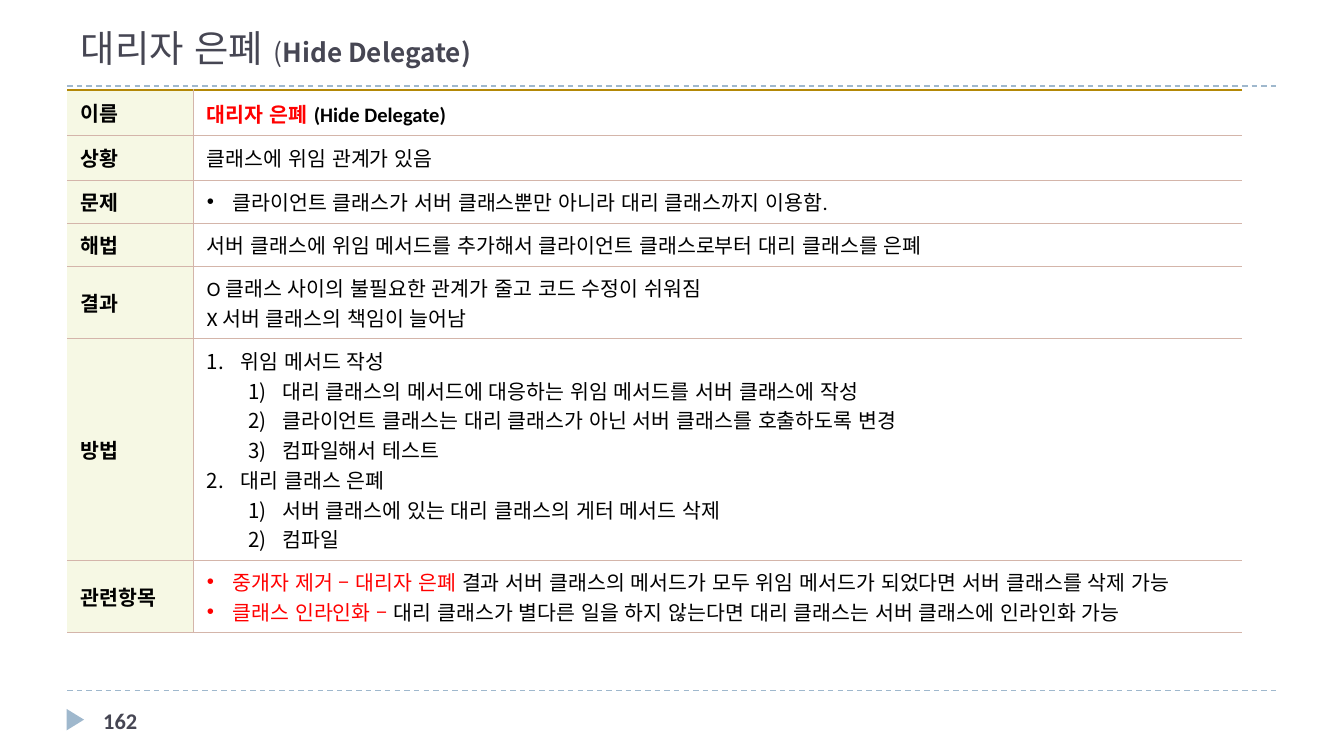
from typing import NamedTuple

from lxml import etree
from pptx import Presentation
from pptx.dml.color import RGBColor
from pptx.enum.dml import MSO_LINE
from pptx.enum.lang import MSO_LANGUAGE_ID
from pptx.enum.shapes import MSO_CONNECTOR, MSO_SHAPE
from pptx.enum.text import MSO_ANCHOR, MSO_AUTO_SIZE, PP_ALIGN
from pptx.oxml.ns import qn
from pptx.util import Inches, Pt

MIDDLE, BOTTOM = MSO_ANCHOR.MIDDLE, MSO_ANCHOR.BOTTOM
LEFT, LANGUAGE = PP_ALIGN.LEFT, MSO_LANGUAGE_ID.KOREAN
STRAIGHT, TRIANGLE = MSO_CONNECTOR.STRAIGHT, MSO_SHAPE.ISOSCELES_TRIANGLE
DASH, NO_AUTOFIT = MSO_LINE.DASH, MSO_AUTO_SIZE.NONE
LATIN, KOREAN, BULLET_FONT = "Calibri", "Noto Sans CJK KR", "Arial"
BLACK, RED, SLATE, BLUE = "000000", "FF0000", "464653", "9FB8CD"
LABEL_FILL, RULE, TOP_RULE = "F6F8E4", "D4B5AA", "B38807"


class Span(NamedTuple):
    text: str
    color: str = BLACK
    bold: bool = False
    size: float = 11
    font: str = LATIN


class Marker(NamedTuple):
    tag: str
    attribute: str
    value: str
    left: float
    hanging: float
    level: int = 0


class Line(NamedTuple):
    spans: list[Span]
    marker: Marker | None = None
    space_after: float = 0


class Entry(NamedTuple):
    label: str
    height: float
    lines: list[Line]
    label_space_after: float = 0


DOT = Marker("a:buChar", "char", "•", 0.19, 0.19)
STEP = Marker("a:buAutoNum", "type", "arabicPeriod", 0.25, 0.25)
SUBSTEP = Marker("a:buAutoNum", "type", "arabicParenR", 0.56, 0.25, 1)


def plain(text: str, marker: Marker | None = None) -> Line:
    return Line([Span(text)], marker)


ENTRIES = [
    Entry("이름", 0.34, [Line([
        Span("대리자 은폐", RED, True),
        Span(" ", bold=True, size=12),
        Span("(Hide Delegate)", bold=True),
    ])]),
    Entry("상황", 0.33, [plain("클래스에 위임 관계가 있음")]),
    Entry("문제", 0.32, [
        plain("클라이언트 클래스가 서버 클래스뿐만 아니라 대리 클래스까지 이용함.", DOT),
    ]),
    Entry("해법", 0.32, [
        plain("서버 클래스에 위임 메서드를 추가해서 클라이언트 클래스로부터 대리 클래스를 은폐"),
    ]),
    Entry("결과", 0.54, [
        plain("O 클래스 사이의 불필요한 관계가 줄고 코드 수정이 쉬워짐"),
        plain("X 서버 클래스의 책임이 늘어남"),
    ]),
    Entry("방법", 1.65, [
        plain("위임 메서드 작성", STEP),
        plain("대리 클래스의 메서드에 대응하는 위임 메서드를 서버 클래스에 작성", SUBSTEP),
        plain("클라이언트 클래스는 대리 클래스가 아닌 서버 클래스를 호출하도록 변경", SUBSTEP),
        plain("컴파일해서 테스트", SUBSTEP),
        plain("대리 클래스 은폐", STEP),
        plain("서버 클래스에 있는 대리 클래스의 게터 메서드 삭제", SUBSTEP),
        plain("컴파일", SUBSTEP),
    ], 6),
    Entry("관련항목", 0.54, [
        Line([
            Span("중개자 제거 – 대리자 은폐 ", RED),
            Span("결과 서버 클래스의 메서드가 모두 위임 메서드가 되었다면 서버 클래스를 삭제 가능"),
        ], DOT),
        Line([
            Span("클래스 인라인화 – ", RED),
            Span("대리 클래스가 별다른 일을 하지 않는다면 대리 클래스는 서버 클래스에 인라인화 가능"),
        ], DOT),
    ], 6),
]


def rgb(color: str) -> RGBColor:
    return RGBColor.from_string(color)


def add_marker(para, marker: Marker) -> None:
    para.level = marker.level
    properties = para._p.get_or_add_pPr()
    properties.set("marL", str(Inches(marker.left)))
    properties.set("indent", str(-Inches(marker.hanging)))
    if marker is DOT:
        etree.SubElement(properties, qn("a:buFont")).set("typeface", BULLET_FONT)
    bullet = etree.SubElement(properties, qn(marker.tag))
    bullet.set(marker.attribute, marker.value)


def write(frame, lines: list[Line]) -> None:
    for index, line in enumerate(lines):
        para = frame.add_paragraph() if index else frame.paragraphs[0]
        para.alignment = LEFT
        if line.space_after:
            para.space_after = Pt(line.space_after)
        if line.marker:
            add_marker(para, line.marker)
        for span in line.spans:
            run = para.add_run()
            run.text = span.text
            font = run.font
            font.size, font.bold, font.name = Pt(span.size), span.bold, span.font
            font.color.rgb = rgb(span.color)
            font.language_id = LANGUAGE
            properties = run._r.get_or_add_rPr()
            properties.set("kern", "0")
            etree.SubElement(properties, qn("a:ea")).set("typeface", KOREAN)


def set_border(cell, side: str, color: str | None, width: float = 0.5) -> None:
    """Draw one cell edge, or clear it when there is no colour."""
    edge = etree.SubElement(cell._tc.get_or_add_tcPr(), qn(f"a:ln{side}"))
    edge.set("w", str(Pt(width)))
    if color is None:
        etree.SubElement(edge, qn("a:noFill"))
    else:
        fill = etree.SubElement(edge, qn("a:solidFill"))
        etree.SubElement(fill, qn("a:srgbClr")).set("val", color)


def format_cell(cell, first_row: bool, is_label: bool) -> None:
    set_border(cell, "L", None if is_label else RULE)
    set_border(cell, "R", RULE if is_label else None)
    set_border(cell, "T", TOP_RULE if first_row else RULE, 1 if first_row else 0.5)
    set_border(cell, "B", RULE)
    if is_label:
        cell.fill.solid()
        cell.fill.fore_color.rgb = rgb(LABEL_FILL)
    else:
        cell.fill.background()
    cell.vertical_anchor = MIDDLE


def add_summary_table(slide, entries: list[Entry]) -> None:
    height = sum(entry.height for entry in entries)
    table = slide.shapes.add_table(
        len(entries), 2, Inches(0.5), Inches(0.67), Inches(8.74), Inches(height)
    ).table
    table.first_row = table.horz_banding = False
    for column, width in zip(table.columns, (0.94, 7.8)):
        column.width = Inches(width)
    for index, entry in enumerate(entries):
        table.rows[index].height = Inches(entry.height)
        label = Line([Span(entry.label, bold=True)], space_after=entry.label_space_after)
        for column, lines in enumerate(([label], entry.lines)):
            cell = table.cell(index, column)
            format_cell(cell, index == 0, column == 0)
            write(cell.text_frame, lines)


def add_dashed_rule(slide, top: float) -> None:
    rule = slide.shapes.add_connector(
        STRAIGHT, Inches(0.5), Inches(top), Inches(9.5), Inches(top)
    )
    rule.line.color.rgb = rgb(BLUE)
    rule.line.width = Pt(0.75)
    rule.line.dash_style = DASH
    etree.SubElement(rule._element.spPr, qn("a:effectLst"))


def add_page_number(slide, number: str) -> None:
    arrow = slide.shapes.add_shape(
        TRIANGLE, Inches(0.48), Inches(5.29), Inches(0.16), Inches(0.13)
    )
    arrow.rotation = 90
    arrow.shadow.inherit = False
    arrow.fill.solid()
    arrow.fill.fore_color.rgb = rgb(BLUE)
    arrow.line.fill.background()
    box = slide.shapes.add_textbox(Inches(0.67), Inches(5.21), Inches(2.17), Inches(0.3))
    box.text_frame.word_wrap = True
    box.text_frame.vertical_anchor = MIDDLE
    write(box.text_frame, [Line([Span(number, SLATE, True, 12)])])


def set_title(slide) -> None:
    title = slide.shapes.title
    title.left, title.top = Inches(0.5), Inches(0.13)
    title.width, title.height = Inches(9), Inches(0.44)
    title.text_frame.auto_size = NO_AUTOFIT
    title.text_frame.vertical_anchor = BOTTOM
    write(title.text_frame, [Line([
        Span("대리자 은폐 ", SLATE, False, 20, KOREAN),
        Span("(", SLATE, False, 14, KOREAN),
        Span("Hide Delegate)", SLATE, True, 14, KOREAN),
    ])])


def main() -> None:
    deck = Presentation()
    deck.slide_width, deck.slide_height = Inches(10), Inches(10 * 9 / 16)
    slide = deck.slides.add_slide(deck.slide_layouts[5])
    for top in (5.14, 0.64):
        add_dashed_rule(slide, top)
    add_page_number(slide, "162")
    add_summary_table(slide, ENTRIES)
    set_title(slide)
    deck.save("out.pptx")


if __name__ == "__main__":
    main()
